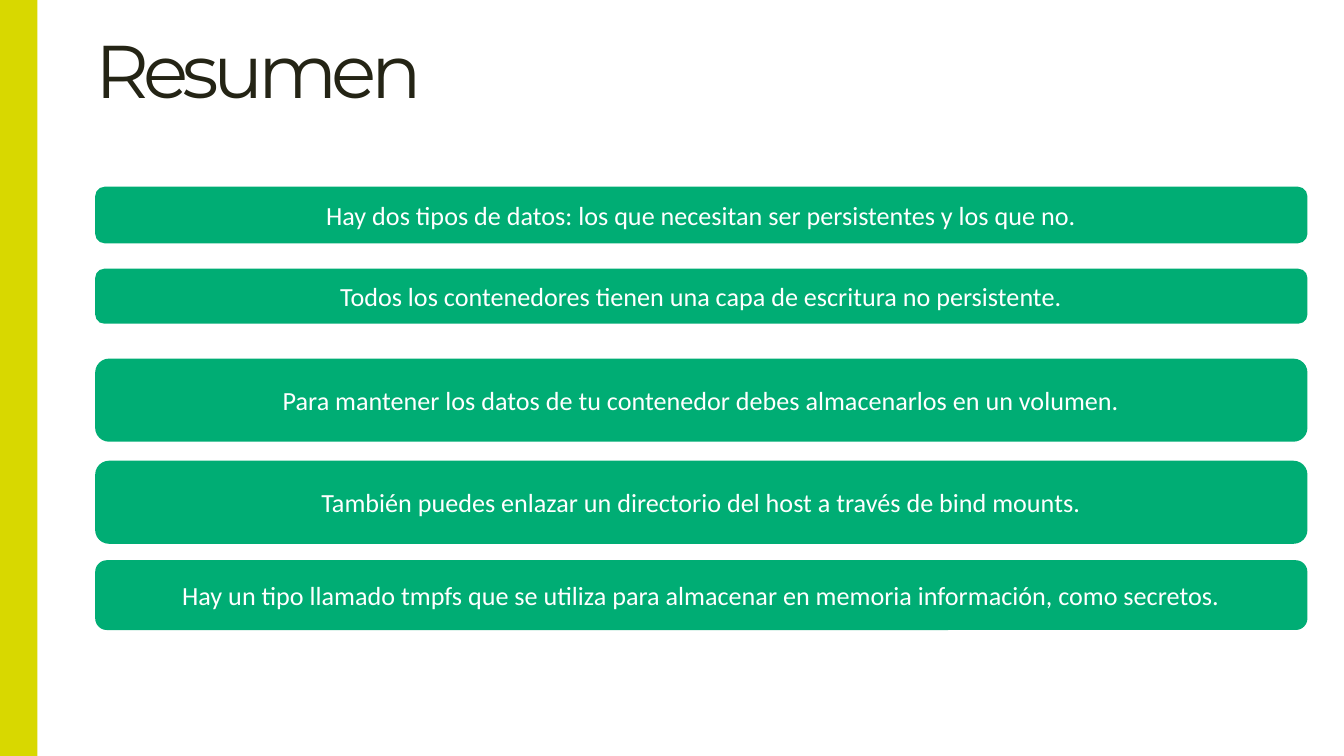
from pptx import Presentation
from pptx.dml.color import RGBColor
from pptx.enum.shapes import MSO_SHAPE
from pptx.enum.text import MSO_ANCHOR, MSO_AUTO_SIZE, PP_ALIGN
from pptx.util import Cm, Pt

WIDE, HIGH = 25.4, 14.29
LEFT, SPAN = 1.8, 22.91
TITLE = "Resumen"
# text, top and height in cm
POINTS = [
    ("Hay dos tipos de datos: los que necesitan ser persistentes y los que no.", 3.53, 1.07),
    ("Todos los contenedores tienen una capa de escritura no persistente.", 5.08, 1.04),
    ("Para mantener los datos de tu contenedor debes almacenarlos en un volumen.", 6.78, 1.57),
    ("También puedes enlazar un directorio del host a través de bind mounts.", 8.71, 1.57),
    ("Hay un tipo llamado tmpfs que se utiliza para almacenar en memoria información, "
     "como secretos.", 10.59, 1.32),
]


def color(code):
    return RGBColor.from_string(code)


def add_block(slide, kind, box, fill):
    block = slide.shapes.add_shape(kind, *map(Cm, box))
    block.shadow.inherit = False
    block.fill.solid()
    block.fill.fore_color.rgb = color(fill)
    block.line.fill.background()
    return block


def set_text(shape, text, font, size, ink, align, anchor):
    """Fill a shape with one styled paragraph and return its run."""
    frame = shape.text_frame
    frame.text = text
    frame.word_wrap = True
    frame.auto_size = MSO_AUTO_SIZE.NONE
    frame.vertical_anchor = anchor
    line = frame.paragraphs[0]
    line.alignment = align
    run = line.runs[0]
    run.font.name = font
    run.font.size = Pt(size)
    run.font.color.rgb = color(ink)
    return run


def add_title(slide):
    title = slide.shapes.title
    title.left, title.top, title.width, title.height = map(Cm, (LEFT, 0, SPAN, 2.26))
    run = set_text(title, TITLE, "Montserrat", 40, "242415", PP_ALIGN.LEFT, MSO_ANCHOR.BOTTOM)
    run.font._element.set("spc", "-300")
    frame = title.text_frame
    frame.paragraphs[0].line_spacing = 0.9
    frame.margin_left, frame.margin_right = Cm(0), Cm(0.18)
    frame.margin_top = frame.margin_bottom = Cm(0.1)


def main():
    deck = Presentation()
    deck.slide_width, deck.slide_height = Cm(WIDE), Cm(HIGH)
    slide = deck.slides.add_slide(deck.slide_layouts[5])
    add_title(slide)
    add_block(slide, MSO_SHAPE.RECTANGLE, (0, 0, 0.71, HIGH), "D8D800")
    for text, top, height in POINTS:
        bar = add_block(slide, MSO_SHAPE.ROUNDED_RECTANGLE, (LEFT, top, SPAN, height), "00AD74")
        set_text(bar, text, "Calibri", 14, "FFFFFF", PP_ALIGN.CENTER, MSO_ANCHOR.MIDDLE)
    deck.save("out.pptx")


if __name__ == "__main__":
    main()
